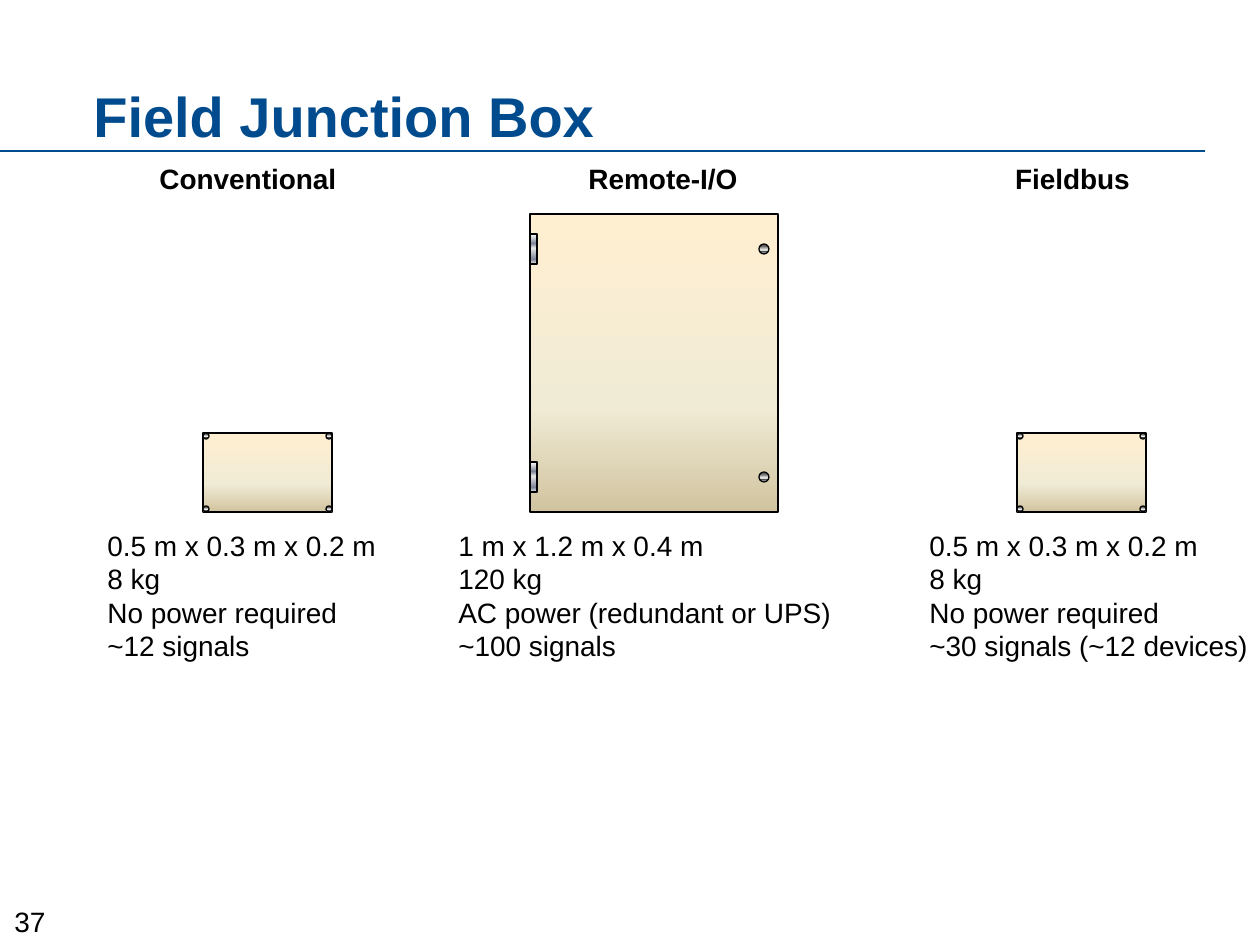
from lxml.etree import SubElement
from pptx import Presentation
from pptx.dml.color import RGBColor
from pptx.enum.shapes import MSO_CONNECTOR, MSO_SHAPE as SHAPE
from pptx.enum.text import MSO_ANCHOR as ANCHOR, MSO_AUTO_SIZE as AUTO, PP_ALIGN as ALIGN
from pptx.oxml.ns import qn
from pptx.util import Pt

PX = 914400 / 126
rgb = RGBColor.from_string
BLUE, BLACK = "004B8D", "000000"
PANEL = [(0, "FFEFD1"), (65, "F0EBD5"), (100, "D1C39F")]
SCREW = [(0, "CBCBCB"), (13, "5F5F5F"), (21, "5F5F5F"), (63, "FFFFFF"),
         (67, "B2B2B2"), (69, "292929"), (82, "777777"), (100, "EAEAEA")]
HINGE = [(0, "FFFFFF"), (7, "E6E6E6"), (32, "7D8496"), (47, "E6E6E6"),
         (85, "7D8496"), (100, "E6E6E6")]

prs = Presentation()
prs.slide_width, prs.slide_height = round(1260 * PX), round(945 * PX)
s = prs.slides.add_slide(prs.slide_layouts[6])


def add_text(box, lines, size=16, color=BLACK, bold=False, align=ALIGN.LEFT):
    sp = s.shapes.add_textbox(*[round(v * PX) for v in box])
    tf = sp.text_frame
    tf.word_wrap = False
    tf.auto_size = AUTO.SHAPE_TO_FIT_TEXT
    for i, line in enumerate(lines):
        p = tf.add_paragraph() if i else tf.paragraphs[0]
        p.alignment = align
        r = p.add_run()
        r.text = line
        r.font.name = "Arial"
        r.font.size = Pt(size)
        r.font.bold = bold
        r.font.color.rgb = rgb(color)
    return tf


def add_part(group, kind, box, stops):
    sp = group.shapes.add_shape(kind, *[round(v * PX) for v in box])
    sp.shadow.inherit = False
    sp.line.color.rgb = rgb(BLACK)
    sp.line.width = Pt(0.75)
    sp.fill.gradient()
    grad = sp._element.spPr.find(qn("a:gradFill"))
    grad.find(qn("a:lin")).set("ang", "5400000")
    gs_list = grad.find(qn("a:gsLst"))
    for gs in list(gs_list):
        gs_list.remove(gs)
    for pos, color in stops:
        gs = SubElement(gs_list, qn("a:gs"), pos=str(pos * 1000))
        SubElement(gs, qn("a:srgbClr"), val=color)


add_text((0, 898, 60, 47), ["37"], align=ALIGN.CENTER)

rule = s.shapes.add_connector(MSO_CONNECTOR.STRAIGHT, 0, round(151 * PX),
                              round(1205 * PX), round(151 * PX))
rule.line.color.rgb = rgb(BLUE)
rule.line.width = Pt(0.75)
SubElement(rule._element.spPr, qn("a:effectLst"))

title = add_text((81, 55, 1159, 100), ["Field Junction Box"], 32, BLUE, True)
title.auto_size = AUTO.NONE
title.word_wrap = True
title.vertical_anchor = ANCHOR.BOTTOM
title.paragraphs[0].line_spacing = 0.85

columns = [
    ("Conventional", 146, 204, 95, 299,
     ["0.5 m x 0.3 m x 0.2 m", "8 kg", "No power required", "~12 signals"]),
    ("Remote-I/O", 575, 176, 446, 402,
     ["1 m x 1.2 m x 0.4 m", "120 kg", "AC power (redundant or UPS)", "~100 signals"]),
    ("Fieldbus", 1002, 141, 917, 348,
     ["0.5 m x 0.3 m x 0.2 m", "8 kg", "No power required", "~30 signals (~12 devices)"]),
]
for name, name_x, name_w, spec_x, spec_w, specs in columns:
    add_text((name_x, 155, name_w, 47), [name], bold=True, align=ALIGN.CENTER)
    add_text((spec_x, 522, spec_w, 149), specs)

for x in (203, 1017):
    small_box = s.shapes.add_group_shape()
    add_part(small_box, SHAPE.RECTANGLE, (x, 433, 129, 79), PANEL)
    for dx in (0, 123):
        for dy in (0, 73):
            add_part(small_box, SHAPE.OVAL, (x + dx, 433 + dy, 6, 6), SCREW)

cabinet = s.shapes.add_group_shape()
add_part(cabinet, SHAPE.RECTANGLE, (530, 214, 248, 298), PANEL)
for y in (234, 462):
    add_part(cabinet, SHAPE.RECTANGLE, (530, y, 7, 30), HINGE)
    add_part(cabinet, SHAPE.OVAL, (759, y + 10, 10, 10), SCREW)

prs.save("out.pptx")
